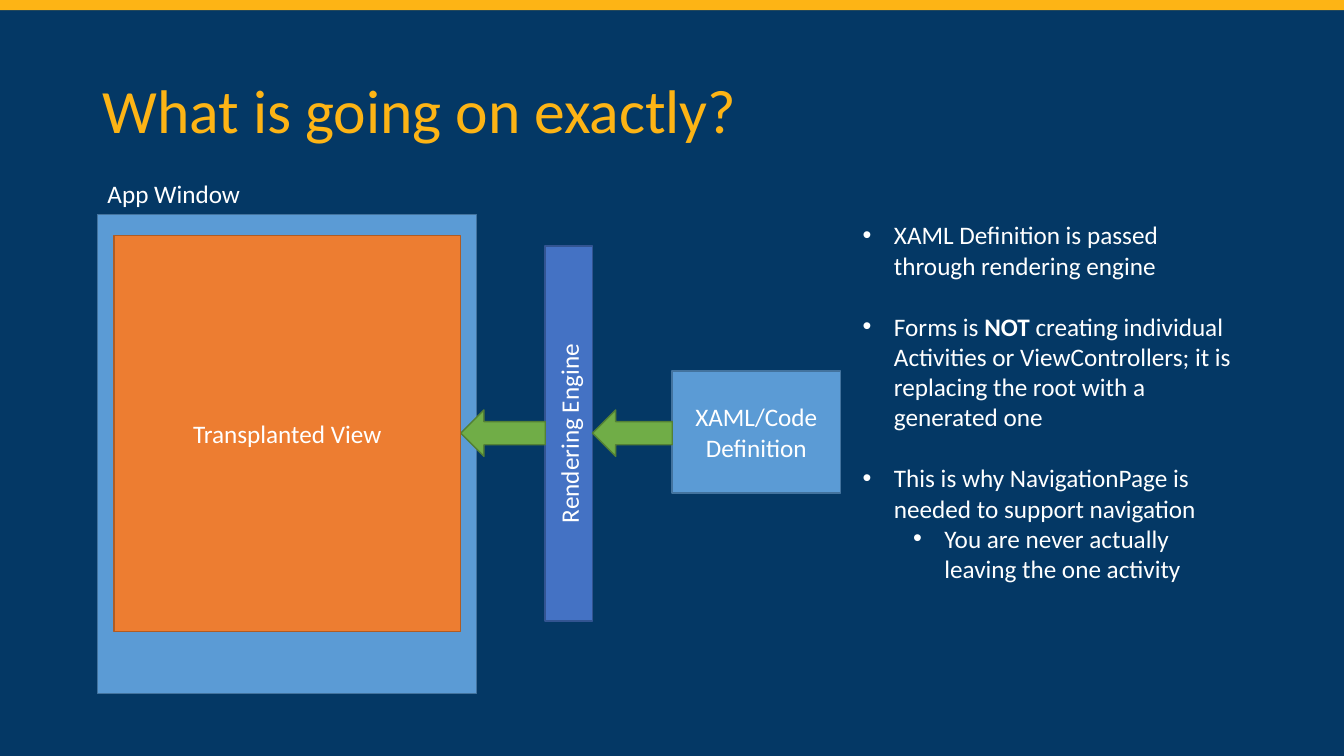
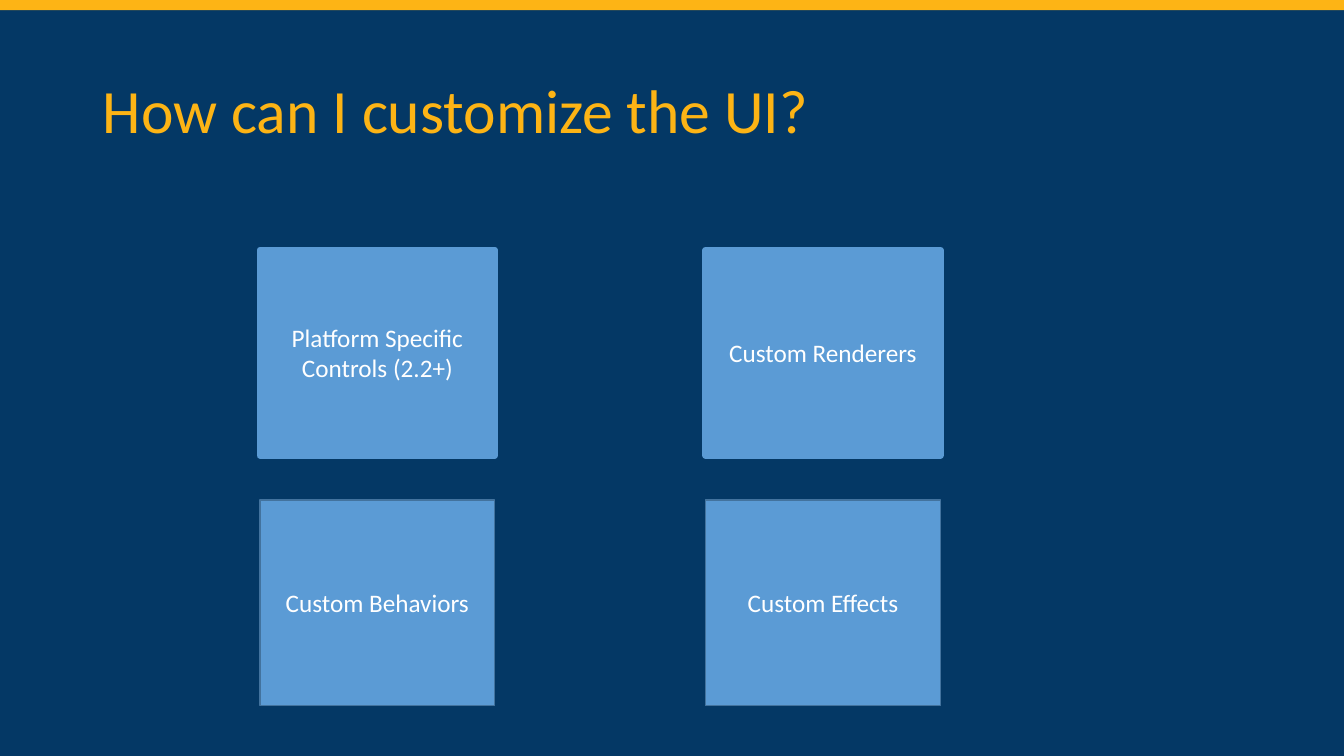
import pptx
import pptx.dml.color
import pptx.enum.shapes
import pptx.enum.text
import pptx.oxml.ns
import pptx.util
from dataclasses import dataclass
from lxml import etree

Cm = pptx.util.Cm
Pt = pptx.util.Pt
Kind = pptx.enum.shapes.MSO_SHAPE
Align = pptx.enum.text.PP_ALIGN
Anchor = pptx.enum.text.MSO_ANCHOR
rgb = pptx.dml.color.RGBColor.from_string


@dataclass(frozen=True)
class Theme:
    font: str = "Calibri"
    title_size: int = 44
    body_size: int = 18
    paragraph_gap: int = 22
    background: str = "043865"
    accent: str = "FDB415"
    text: str = "FFFFFF"
    blue: str = "5B9BD5"
    blue_edge: str = "43739E"
    indigo: str = "4472C4"
    indigo_edge: str = "325491"
    green: str = "70AD47"
    green_edge: str = "538035"
    orange: str = "ED7D31"
    orange_edge: str = "AF5C24"


theme = Theme()


def add_block(page, kind, place, fill, edge=None, edge_width=1, text=""):
    """Add a filled shape with centred text; place is left, top, width, height in cm."""
    block = page.shapes.add_shape(kind, *map(Cm, place))
    block.shadow.inherit = False
    block.fill.solid()
    block.fill.fore_color.rgb = rgb(fill)
    if edge:
        block.line.color.rgb = rgb(edge)
        block.line.width = Pt(edge_width)
    else:
        block.line.fill.background()
    if text:
        block.text_frame.text = text
        block.text_frame.vertical_anchor = Anchor.MIDDLE
        para = block.text_frame.paragraphs[0]
        para.alignment = Align.CENTER
        para.font.name = theme.font
        para.font.size = Pt(theme.body_size)
        para.font.color.rgb = rgb(theme.text)
    return block


def add_text(page, place, lines, size=theme.body_size, color=theme.text):
    """Add a wrapping text box with one paragraph for each line."""
    box = page.shapes.add_textbox(*map(Cm, place))
    box.text_frame.word_wrap = True
    box.text_frame.text = "\n".join(lines)
    for para in box.text_frame.paragraphs:
        for span in para.runs:
            span.font.name = theme.font
            span.font.size = Pt(size)
            span.font.color.rgb = rgb(color)
    return box


# Deck and shared background
deck = pptx.Presentation()
deck.slide_width, deck.slide_height = Cm(33.87), Cm(19.05)
deck.slide_master.background.fill.solid()
deck.slide_master.background.fill.fore_color.rgb = rgb(theme.background)

# Pages with top band and title
pages = []
for title in ("What is going on exactly?", "How can I customize the UI?"):
    page = deck.slides.add_slide(deck.slide_layouts[6])
    add_block(page, Kind.RECTANGLE, (0, 0, 33.87, 0.26), theme.accent)
    box = add_text(page, (2.34, 1.02, 29.21, 3.68), [title], theme.title_size, theme.accent)
    box.text_frame.vertical_anchor = Anchor.MIDDLE
    box.text_frame.paragraphs[0].line_spacing = 0.9
    pages.append(page)
flow_page, options_page = pages

# Rendering flow: window, definition and engine
add_block(flow_page, Kind.RECTANGLE, (2.46, 5.41, 9.55, 12.07), theme.blue, theme.blue_edge)
add_text(flow_page, (2.46, 4.37, 9.07, 1.02), ["App Window"])
add_block(flow_page, Kind.RECTANGLE, (16.94, 9.35, 4.24, 3.07),
          theme.blue, theme.blue_edge, text="XAML/Code Definition")
engine = add_block(flow_page, Kind.RECTANGLE, (13.74, 6.2, 1.19, 9.45),
                   theme.indigo, theme.indigo_edge, text="Rendering Engine")
body = engine.text_frame._txBody.find(pptx.oxml.ns.qn("a:bodyPr"))
body.set("vert", "vert270")

# Arrows pointing left, from definition to engine and from engine to view
for left, right in ((14.93, 16.94), (11.61, 13.74)):
    arrow = add_block(flow_page, Kind.RIGHT_ARROW, (left, 10.33, right - left, 1.17),
                      theme.green, theme.green_edge)
    arrow.rotation = 180
add_block(flow_page, Kind.RECTANGLE, (2.87, 5.94, 8.74, 9.98),
          theme.orange, theme.orange_edge, text="Transplanted View")

# Explanation bullets: level and text
emphasis = "NOT"
points = [
    (0, "XAML Definition is passed through rendering engine"),
    (0, "Forms is NOT creating individual Activities or ViewControllers; "
        "it is replacing the root with a generated one"),
    (0, "This is why NavigationPage is needed to support navigation"),
    (1, "You are never actually leaving the one activity"),
]
notes_box = add_text(flow_page, (21.49, 5.41, 10.06, 9.5), [])
for index, (level, text) in enumerate(points):
    frame = notes_box.text_frame
    para = frame.add_paragraph() if index else frame.paragraphs[0]
    para.level = level
    if index and level == 0:
        para.space_before = Pt(theme.paragraph_gap)
    properties = para._p.get_or_add_pPr()
    properties.set("marL", str(Cm(0.79 + 1.27 * level)))
    properties.set("indent", str(-Cm(0.79)))
    bullet_font = etree.SubElement(properties, pptx.oxml.ns.qn("a:buFont"))
    bullet_font.set("typeface", "Arial")
    bullet = etree.SubElement(properties, pptx.oxml.ns.qn("a:buChar"))
    bullet.set("char", "•")
    for part in filter(None, text.partition(emphasis)):
        span = para.add_run()
        span.text = part
        span.font.name = theme.font
        span.font.size = Pt(theme.body_size)
        span.font.color.rgb = rgb(theme.text)
        span.font.bold = part == emphasis

# Customization options in a two by two grid, first row with a thick edge
rows = [
    (theme.blue, 4.5, ("Platform Specific Controls (2.2+)", "Custom Renderers")),
    (theme.blue_edge, 1, ("Custom Behaviors", "Custom Effects")),
]
for row, (edge, edge_width, labels) in enumerate(rows):
    for column, label in enumerate(labels):
        place = (6.55 + 11.23 * column, 6.3 + 6.3 * row, 5.92, 5.18)
        add_block(options_page, Kind.RECTANGLE, place, theme.blue, edge, edge_width, label)

deck.save("out.pptx")
